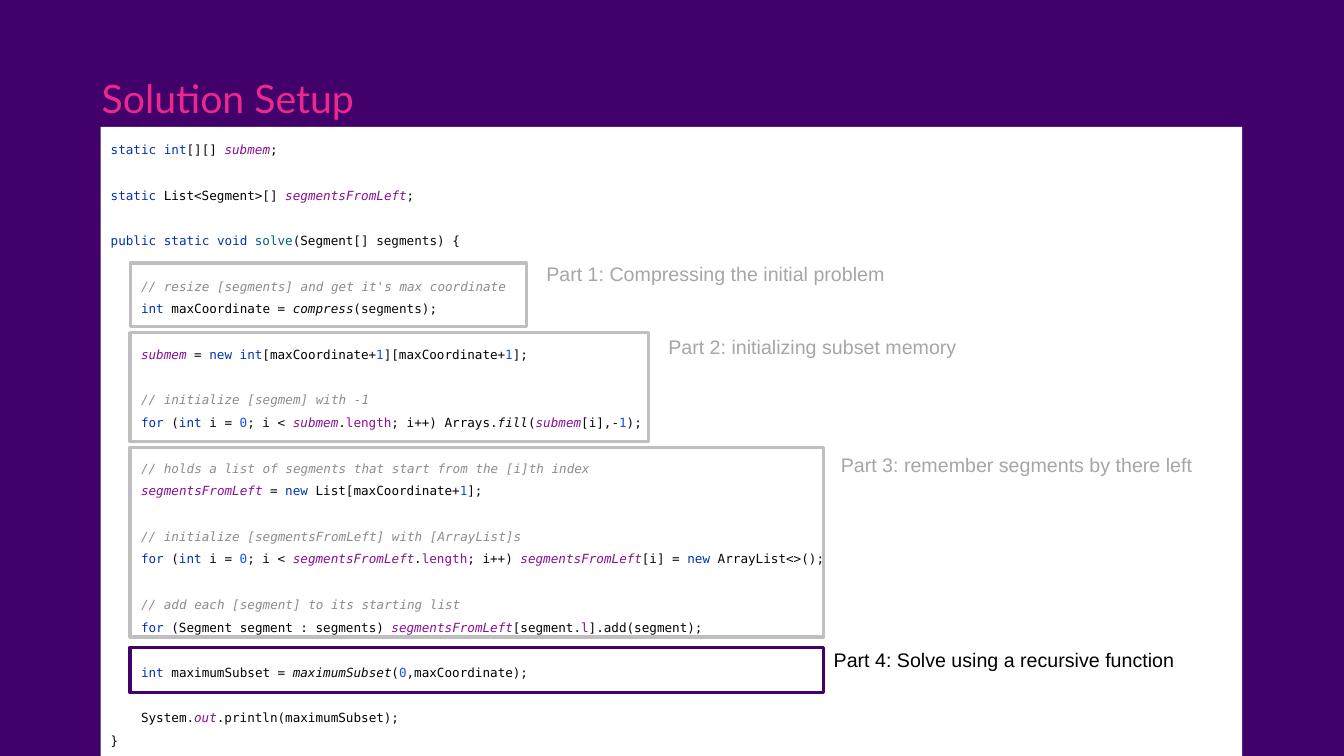
from dataclasses import dataclass
from functools import partial
from typing import NamedTuple

from pptx import Presentation
from pptx.dml.color import RGBColor
from pptx.enum.shapes import MSO_SHAPE as Shape
from pptx.enum.text import MSO_ANCHOR as Anchor, PP_ALIGN as Align
from pptx.util import Inches, Pt

SLIDE_WIDTH = Inches(13.33)
SLIDE_HEIGHT = Inches(7.5)
PURPLE = "41006A"
PINK = "EC278D"
WHITE = "FFFFFF"
BLACK = "000000"
FRAME_GRAY = "BFBFBF"
LABEL_GRAY = "A6A6A6"
CODE_FONT = "DejaVu Sans Mono"
CODE_SIZE = 9
LINE_PITCH = Pt(16.2)
CODE_INDENT = SLIDE_WIDTH * 2.26 / 100
FRAME_LEFT = 9.68
LABEL_HEIGHT = 4.53


class Area(NamedTuple):
    left: float
    top: float
    width: float
    height: float

    def lengths(self) -> tuple[int, ...]:
        sizes = (SLIDE_WIDTH, SLIDE_HEIGHT) * 2
        return tuple(round(size * share / 100) for size, share in zip(sizes, self))


class Token(NamedTuple):
    color: str
    italic: bool
    text: str


@dataclass
class CodeLine:
    tokens: list[Token]
    indented: bool = True
    gap_before: bool = False


@dataclass
class Part:
    label: str
    frame: Area
    label_area: Area
    frame_color: str = FRAME_GRAY
    label_color: str = LABEL_GRAY


keyword = partial(Token, "0033B3", False)
plain = partial(Token, "080808", False)
name = partial(Token, BLACK, False)
declared = partial(Token, "00627A", False)
member = partial(Token, "871094", False)
static_field = partial(Token, "871094", True)
number = partial(Token, "1750EB", False)
comment = partial(Token, "8C8C8C", True)
static_call = partial(Token, "080808", True)

outer = partial(CodeLine, indented=False)
spaced = partial(CodeLine, gap_before=True)

ARRAY_SIZE = [plain("["), name("maxCoordinate"), plain("+"), number("1"), plain("]")]


def loop_over(array: str) -> list[Token]:
    return [
        keyword("for "), plain("("), keyword("int "), plain("i = "), number("0"),
        plain("; i < "), static_field(array), plain("."), member("length"), plain("; i++) "),
    ]


CODE = [
    outer([keyword("static int"), plain("[][] "), static_field("submem"), plain(";")]),
    outer([keyword("static "), name("List"), plain("<"), name("Segment"), plain(">[] "),
           static_field("segmentsFromLeft"), plain(";")], gap_before=True),
    outer([keyword("public static void "), declared("solve"), plain("("),
           name("Segment"), plain("[] segments) {")], gap_before=True),
    spaced([comment("// resize [segments] and get it's max coordinate")]),
    CodeLine([keyword("int "), name("maxCoordinate "), plain("= "),
              static_call("compress"), plain("(segments);")]),
    spaced([static_field("submem "), plain("= "), keyword("new int"),
            *ARRAY_SIZE, *ARRAY_SIZE, plain(";")]),
    spaced([comment("// initialize [segmem] with -1")]),
    CodeLine([*loop_over("submem"), name("Arrays"), plain("."), static_call("fill"),
              plain("("), static_field("submem"), plain("[i],-"), number("1"), plain(");")]),
    spaced([comment("// holds a list of segments that start from the [i]th index")]),
    CodeLine([static_field("segmentsFromLeft "), plain("= "), keyword("new "),
              plain("List"), *ARRAY_SIZE, plain(";")]),
    spaced([comment("// initialize [segmentsFromLeft] with [ArrayList]s")]),
    CodeLine([*loop_over("segmentsFromLeft"), static_field("segmentsFromLeft"),
              plain("[i] = "), keyword("new "), plain("ArrayList<>();")]),
    spaced([comment("// add each [segment] to its starting list")]),
    CodeLine([keyword("for "), plain("("), name("Segment segment "), plain(": segments) "),
              static_field("segmentsFromLeft"), plain("["), name("segment"), plain("."),
              member("l"), plain("].add("), name("segment"), plain(");")]),
    spaced([keyword("int "), name("maximumSubset "), plain("= "),
            static_call("maximumSubset"), plain("("), number("0"), plain(","),
            name("maxCoordinate"), plain(");")]),
    spaced([name("System"), plain("."), static_field("out"), plain(".println("),
            name("maximumSubset"), plain(");")]),
    outer([plain("}")]),
]

PARTS = [
    Part("Part 1: Compressing the initial problem",
         Area(FRAME_LEFT, 34.8, 29.48, 8.4), Area(39.91, 34, 26.78, LABEL_HEIGHT)),
    Part("Part 2: initializing subset memory",
         Area(FRAME_LEFT, 44, 38.56, 14.4), Area(48.99, 43.6, 23.11, LABEL_HEIGHT)),
    Part("Part 3: remember segments by there left",
         Area(FRAME_LEFT, 59.2, 51.61, 25.07), Area(61.82, 59.2, 27.76, LABEL_HEIGHT)),
    Part("Part 4: Solve using a recursive function",
         Area(FRAME_LEFT, 85.6, 51.61, 6), Area(61.29, 85.07, 27.01, LABEL_HEIGHT),
         PURPLE, BLACK),
]


def rgb(color: str) -> RGBColor:
    return RGBColor.from_string(color)


def format_run(run, font_name: str, size: float, color: str, italic: bool = False) -> None:
    run.font.name = font_name
    run.font.size = Pt(size)
    run.font.color.rgb = rgb(color)
    run.font.italic = italic


def add_rectangle(slide, area: Area):
    shape = slide.shapes.add_shape(Shape.RECTANGLE, *area.lengths())
    shape.shadow.inherit = False
    return shape


def add_label(slide, text: str, area: Area, font_name: str, size: float, color: str,
              wrap: bool = False):
    text_frame = slide.shapes.add_textbox(*area.lengths()).text_frame
    text_frame.text = text
    text_frame.word_wrap = wrap
    format_run(text_frame.paragraphs[0].runs[0], font_name, size, color)
    return text_frame


def add_code_panel(slide, area: Area, lines: list[CodeLine]) -> None:
    panel = add_rectangle(slide, area)
    panel.fill.solid()
    panel.fill.fore_color.rgb = rgb(WHITE)
    panel.line.fill.background()
    text_frame = panel.text_frame
    text_frame.word_wrap = True
    text_frame.vertical_anchor = Anchor.MIDDLE
    for index, line in enumerate(lines):
        paragraph = text_frame.add_paragraph() if index else text_frame.paragraphs[0]
        paragraph.alignment = Align.LEFT
        paragraph.line_spacing = 1.5
        paragraph.space_before = LINE_PITCH if line.gap_before else Pt(0)
        if line.indented:
            paragraph._p.get_or_add_pPr().set("marL", str(round(CODE_INDENT)))
        for token in line.tokens:
            run = paragraph.add_run()
            run.text = token.text
            format_run(run, CODE_FONT, CODE_SIZE, token.color, token.italic)


def add_part(slide, part: Part) -> None:
    frame = add_rectangle(slide, part.frame)
    frame.fill.background()
    frame.line.color.rgb = rgb(part.frame_color)
    frame.line.width = Pt(2.25)
    add_label(slide, part.label, part.label_area, "Arial", 14, part.label_color)


def main() -> None:
    presentation = Presentation()
    presentation.slide_width = SLIDE_WIDTH
    presentation.slide_height = SLIDE_HEIGHT
    slide = presentation.slides.add_slide(presentation.slide_layouts[6])
    slide.background.fill.solid()
    slide.background.fill.fore_color.rgb = rgb(PURPLE)
    title = add_label(slide, "Solution Setup", Area(6.83, 8.53, 84.92, 11.2),
                      "Lato", 28, PINK, wrap=True)
    title.margin_top = title.margin_bottom = Inches(0.1)
    add_code_panel(slide, Area(7.5, 16.8, 84.92, 83.2), CODE)
    for part in PARTS:
        add_part(slide, part)
    presentation.save("out.pptx")


if __name__ == "__main__":
    main()
